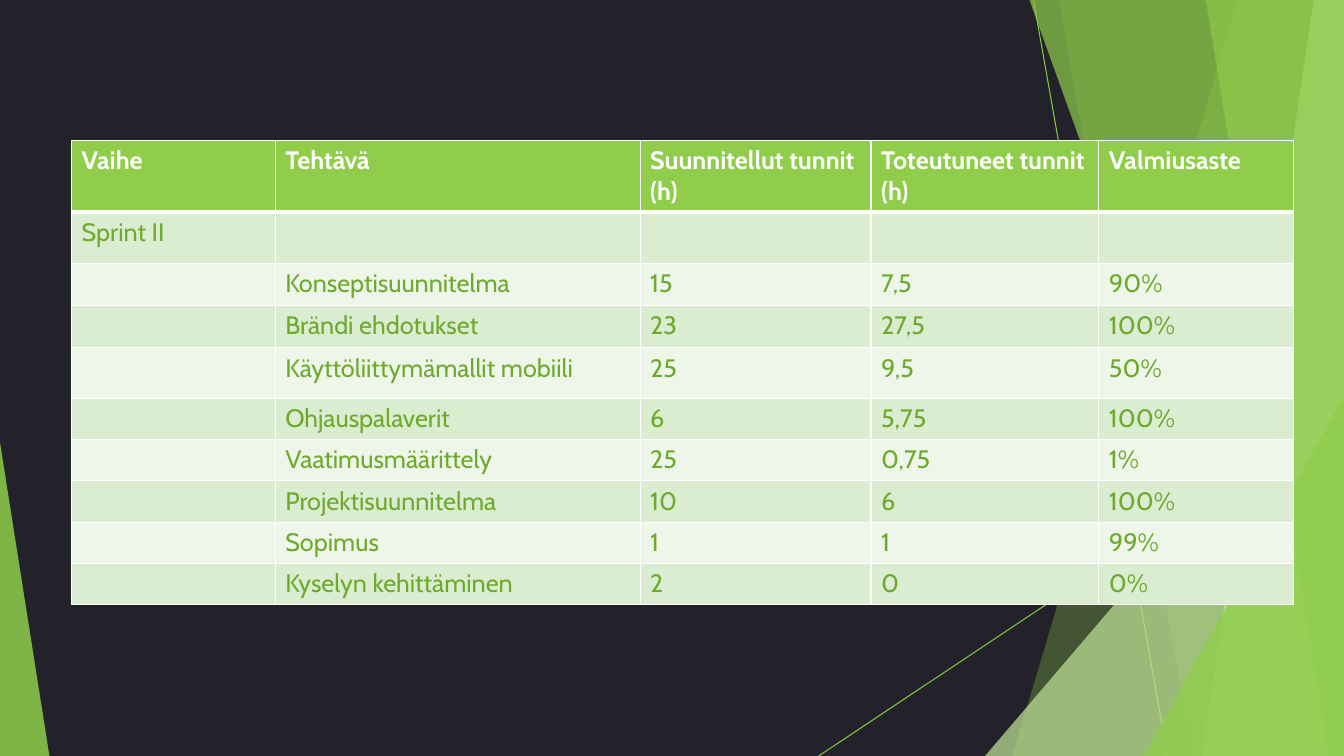
"""Build the Sprint II progress slide: an hours table over a faceted green backdrop."""
from dataclasses import dataclass

from lxml import etree
from pptx import Presentation
from pptx.dml.color import RGBColor
from pptx.enum.shapes import MSO_CONNECTOR, MSO_SHAPE
from pptx.oxml.ns import qn
from pptx.shapes.autoshape import Shape
from pptx.slide import Slide
from pptx.table import _Cell
from pptx.util import Inches, Pt

STRAIGHT = MSO_CONNECTOR.STRAIGHT
TRIANGLE = MSO_SHAPE.ISOSCELES_TRIANGLE
WIDTH, HEIGHT = 13.33, 7.5


@dataclass(frozen=True)
class Theme:
    """Colours, font and sizes used on the slide."""
    background: str = "23222A"
    green: str = "8FCD4B"
    pale_green: str = "BDE295"
    ray: str = "83CB39"
    white: str = "FFFFFF"
    text: str = "6DAA2D"
    bands: tuple[str, str] = ("DBEDD0", "EEF6E9")
    font: str = "Cabin"
    size: int = 18
    ray_width: float = 0.75
    border: float = 1
    header_border: float = 3


THEME = Theme()


@dataclass(frozen=True)
class Ray:
    """A thin line across the backdrop."""
    x1: float
    y1: float
    x2: float
    y2: float


@dataclass(frozen=True)
class Facet:
    """A full-height panel reaching the right edge, with a slanted left side."""
    top_x: float
    bottom_x: float
    color: str
    opacity: int


@dataclass(frozen=True)
class Wedge:
    """A right triangle standing on the bottom edge."""
    left: float
    top: float
    width: float
    apex: float
    color: str
    opacity: int


RAYS = [Ray(10.25, 0, 11.58, HEIGHT), Ray(WIDTH, 4.03, 8.12, HEIGHT)]
BACKDROP = [
    Facet(12.28, 10.04, THEME.green, 30),
    Facet(10.5, 11.83, THEME.green, 20),
    Wedge(9.77, 3.33, 3.56, 1, THEME.pale_green, 72),
    Facet(10.21, 12.91, THEME.green, 70),
    Facet(13.03, 11.92, THEME.pale_green, 70),
    Facet(11.96, 13.18, THEME.green, 65),
    Wedge(11.34, 3.93, 1.99, 1, THEME.green, 80),
    Wedge(0, 4.39, 0.49, 0, THEME.green, 85),
]

TABLE_LEFT, TABLE_TOP = 0.71, 1.39
COLUMNS = [2.02, 3.62, 2.29, 2.26, 1.93]
ROW_HEIGHTS = [0.71, 0.51, 0.42, 0.42, 0.5] + [0.41] * 5
ROWS = [
    ("Vaihe", "Tehtävä", "Suunnitellut tunnit (h)", "Toteutuneet tunnit (h)", "Valmiusaste"),
    ("Sprint II", "", "", "", ""),
    ("", "Konseptisuunnitelma", "15", "7,5", "90%"),
    ("", "Brändi ehdotukset", "23", "27,5", "100%"),
    ("", "Käyttöliittymämallit mobiili", "25", "9,5", "50%"),
    ("", "Ohjauspalaverit", "6", "5,75", "100%"),
    ("", "Vaatimusmäärittely", "25", "0,75", "1%"),
    ("", "Projektisuunnitelma", "10", "6", "100%"),
    ("", "Sopimus", "1", "1", "99%"),
    ("", "Kyselyn kehittäminen", "2", "0", "0%"),
]


def rgb(color: str) -> RGBColor:
    """Turn a hex string into a colour."""
    return RGBColor.from_string(color)


def draw_ray(s: Slide, ray: Ray) -> None:
    """Draw one backdrop line."""
    ends = [Inches(v) for v in (ray.x1, ray.y1, ray.x2, ray.y2)]
    line = s.shapes.add_connector(STRAIGHT, *ends)
    line.line.color.rgb = rgb(THEME.ray)
    line.line.width = Pt(THEME.ray_width)
    etree.SubElement(line._element.spPr, qn("a:effectLst"))


def paint(sp: Shape, color: str, opacity: int) -> None:
    """Give a shape a translucent fill without outline or shadow."""
    sp.shadow.inherit = False
    sp.line.fill.background()
    sp.fill.solid()
    sp.fill.fore_color.rgb = rgb(color)
    clr = sp._element.spPr.find(qn("a:solidFill"))[0]
    etree.SubElement(clr, qn("a:alpha"), val=str(opacity * 1000))


def draw_facet(s: Slide, facet: Facet) -> None:
    """Draw one slanted panel."""
    corners = [(WIDTH, 0), (WIDTH, HEIGHT), (facet.bottom_x, HEIGHT)]
    builder = s.shapes.build_freeform(Inches(facet.top_x), 0)
    builder.add_line_segments([(Inches(x), Inches(y)) for x, y in corners])
    paint(builder.convert_to_shape(), facet.color, facet.opacity)


def draw_wedge(s: Slide, wedge: Wedge) -> None:
    """Draw one corner triangle."""
    box = (wedge.left, wedge.top, wedge.width, HEIGHT - wedge.top)
    sp = s.shapes.add_shape(TRIANGLE, *[Inches(v) for v in box])
    sp.adjustments[0] = wedge.apex
    paint(sp, wedge.color, wedge.opacity)


def set_borders(cell: _Cell, top: float, bottom: float) -> None:
    """Draw white borders of the given widths around a cell."""
    tc_pr = cell._tc.get_or_add_tcPr()
    widths = {"L": THEME.border, "R": THEME.border, "T": top, "B": bottom}
    for side, width in widths.items():
        ln = etree.SubElement(tc_pr, qn(f"a:ln{side}"), w=str(Pt(width)))
        fill = etree.SubElement(ln, qn("a:solidFill"))
        etree.SubElement(fill, qn("a:srgbClr"), val=THEME.white)


def fill_cell(cell: _Cell, text: str, row: int) -> None:
    """Write and format one table cell."""
    header = row == 0
    set_borders(cell, THEME.header_border if row == 1 else THEME.border,
                THEME.header_border if header else THEME.border)
    cell.fill.solid()
    cell.fill.fore_color.rgb = rgb(THEME.green if header else THEME.bands[(row - 1) % 2])
    p = cell.text_frame.paragraphs[0]
    p.text = text
    for r in p.runs:
        r.font.name = THEME.font
        r.font.size = Pt(THEME.size)
        r.font.bold = header
        r.font.color.rgb = rgb(THEME.white if header else THEME.text)


def draw_table(s: Slide) -> None:
    """Draw the table of planned and actual hours."""
    box = (TABLE_LEFT, TABLE_TOP, sum(COLUMNS), sum(ROW_HEIGHTS))
    table = s.shapes.add_table(len(ROWS), len(COLUMNS), *[Inches(v) for v in box]).table
    table.first_row = table.horz_banding = False
    for column, width in zip(table.columns, COLUMNS):
        column.width = Inches(width)
    for i, (texts, height) in enumerate(zip(ROWS, ROW_HEIGHTS)):
        table.rows[i].height = Inches(height)
        for j, text in enumerate(texts):
            fill_cell(table.cell(i, j), text, i)


def main() -> None:
    """Assemble and save the slide."""
    prs = Presentation()
    prs.slide_width, prs.slide_height = Inches(WIDTH), Inches(HEIGHT)
    s = prs.slides.add_slide(prs.slide_layouts[6])
    s.background.fill.solid()
    s.background.fill.fore_color.rgb = rgb(THEME.background)
    for ray in RAYS:
        draw_ray(s, ray)
    for piece in BACKDROP:
        if isinstance(piece, Facet):
            draw_facet(s, piece)
        else:
            draw_wedge(s, piece)
    draw_table(s)
    prs.save("out.pptx")


if __name__ == "__main__":
    main()
